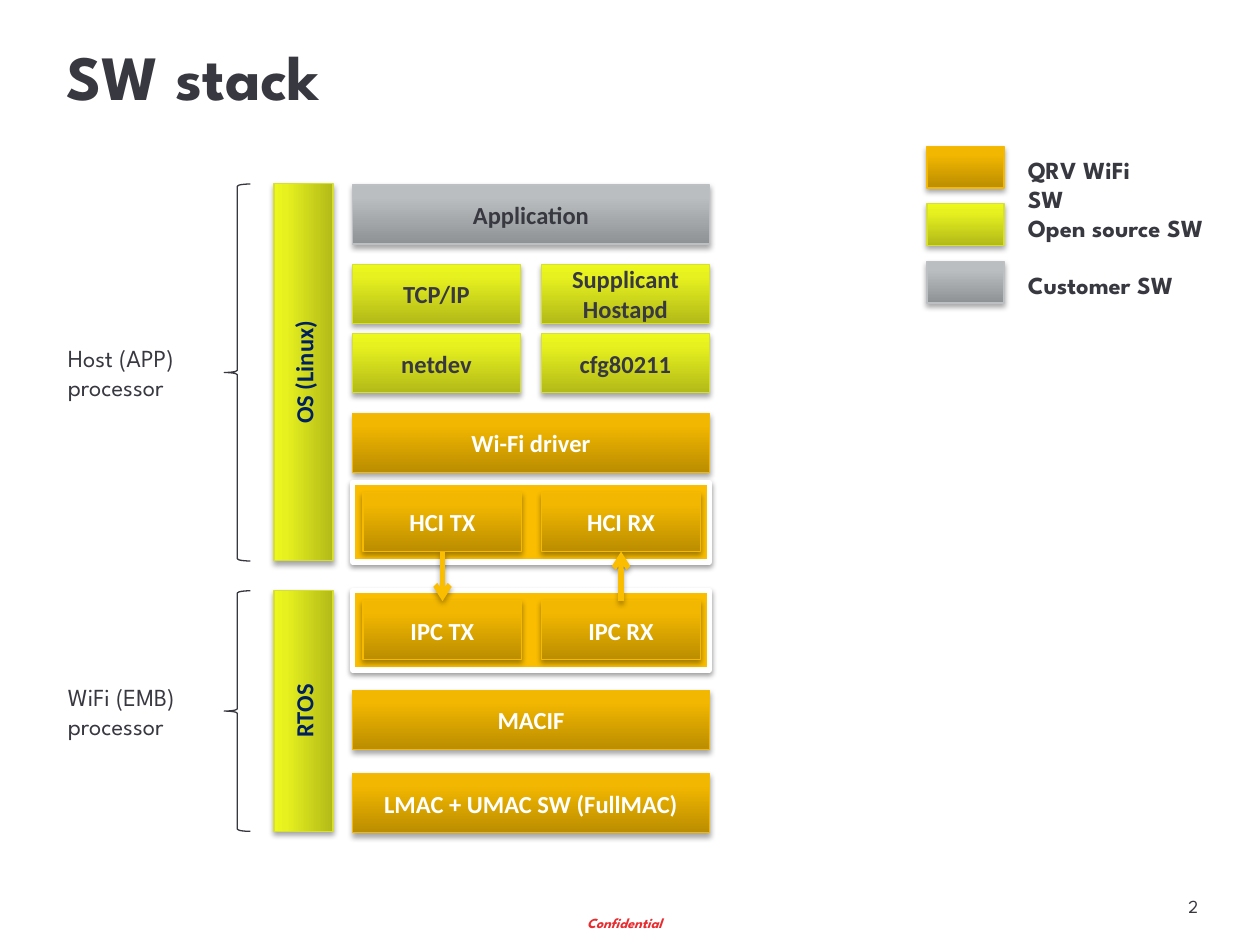
from dataclasses import dataclass

from lxml import etree
from pptx import Presentation
from pptx import util as u
from pptx.dml.color import RGBColor
from pptx.enum import shapes, text
from pptx.oxml import ns


@dataclass(frozen=True)
class Theme:
    """Colours, fonts and type sizes of the slide."""
    head: str = "League Spartan"
    body: str = "Calibri"
    ink: str = "383841"
    navy: str = "002060"
    white: str = "FFFFFF"
    red: str = "E72D30"
    amber: str = "FABD00"
    brace: str = "373740"
    gold: tuple = ("BB8D00", "F2B700", "F3B800", "F4B900")
    lime: tuple = ("B2BA18", "E7F11F", "ECF71B", "D7DF34")
    grey: tuple = ("8F9294", "BABEC1", "BBBFC2", "BDC0C2")
    title: float = 36
    label: float = 14
    number: float = 10.5
    footer: float = 8


class Deck:
    """Holds the theme and the current slide, and draws its elements."""

    def __init__(self, prs, theme):
        self.t = theme
        self.s = prs.slides.add_slide(prs.slide_layouts[5])

    def sub(self, parent, tag, **attrs):
        """Append a DrawingML child element."""
        return etree.SubElement(parent, ns.qn("a:" + tag), {k: str(v) for k, v in attrs.items()})

    def shadow(self, sp, alpha=35, dist=23000):
        """Cast a soft shadow downwards."""
        effects = self.sub(sp._element.spPr, "effectLst")
        outer = self.sub(effects, "outerShdw", blurRad=40000, dist=dist, dir=5400000, rotWithShape=0)
        self.sub(self.sub(outer, "srgbClr", val="000000"), "alpha", val=alpha * 1000)

    def stroke(self, sp, color, width):
        """Set the line of a shape or connector."""
        sp.line.color.rgb = RGBColor.from_string(color)
        sp.line.width = u.Pt(width)

    def put(self, tf, words, size, color, font, bold=False, italic=False, align=text.PP_ALIGN.LEFT):
        """Fill a text frame, one paragraph for each line."""
        for i, line in enumerate(words.split("\n")):
            p = tf.add_paragraph() if i else tf.paragraphs[0]
            p.alignment = align
            r = p.add_run()
            r.text = line
            r.font.name, r.font.size = font, u.Pt(size)
            r.font.bold, r.font.italic = bold, italic
            r.font.color.rgb = RGBColor.from_string(color)

    def title(self, words, *box):
        """Place and format the title placeholder."""
        sp = self.s.shapes.title
        sp.left, sp.top, sp.width, sp.height = map(u.Cm, box)
        tf = sp.text_frame
        tf.auto_size = text.MSO_AUTO_SIZE.NONE
        tf.vertical_anchor = text.MSO_ANCHOR.MIDDLE
        self.put(tf, words, self.t.title, self.t.ink, self.t.head, bold=True)

    def text(self, words, *box, size=None, color=None, wrap=False, middle=False, **style):
        """Add a text box in the heading font."""
        tf = self.s.shapes.add_textbox(*map(u.Cm, box)).text_frame
        tf.word_wrap = wrap
        tf.vertical_anchor = text.MSO_ANCHOR.MIDDLE if middle else text.MSO_ANCHOR.TOP
        self.put(tf, words, size or self.t.label, color or self.t.ink, self.t.head, **style)

    def block(self, words, tone, color, left, top, width, height=1.19, rotation=0):
        """Add a shaded block with a centred label."""
        sp = self.s.shapes.add_shape(shapes.MSO_SHAPE.RECTANGLE, *map(u.Cm, (left, top, width, height)))
        sp.rotation = rotation
        sp.fill.gradient()
        sp.fill.gradient_angle = 90
        stops = sp._element.spPr.find(".//" + ns.qn("a:gsLst"))
        for stop in list(stops):
            stops.remove(stop)
        for pos, shade in zip((0, 80, 100), tone):
            self.sub(self.sub(stops, "gs", pos=pos * 1000), "srgbClr", val=shade)
        self.stroke(sp, tone[3], 0.75)
        self.shadow(sp)
        if words:
            sp.text_frame.vertical_anchor = text.MSO_ANCHOR.MIDDLE
            self.put(sp.text_frame, words, self.t.label, color, self.t.body,
                     bold=True, align=text.PP_ALIGN.CENTER)

    def frame(self, left, top, width, height):
        """Add a flat panel with a white border."""
        sp = self.s.shapes.add_shape(shapes.MSO_SHAPE.RECTANGLE, *map(u.Cm, (left, top, width, height)))
        sp.fill.solid()
        sp.fill.fore_color.rgb = RGBColor.from_string(self.t.amber)
        self.stroke(sp, self.t.white, 3)
        self.shadow(sp, 38, 20000)

    def brace(self, left, top, width, height):
        """Add an opening brace."""
        sp = self.s.shapes.add_shape(shapes.MSO_SHAPE.LEFT_BRACE, *map(u.Cm, (left, top, width, height)))
        sp.shadow.inherit = False
        sp.fill.background()
        self.stroke(sp, self.t.brace, 0.75)

    def processor(self, words, system, top, length):
        """Add a label, its brace and an upright system bar."""
        mid = top + length / 2
        self.block(system, self.t.lime, self.t.navy, 6.12 - length / 2, mid - 0.6, length, rotation=270)
        self.brace(4.52, top, 0.53, length)
        self.text(words, 1.12, mid - 0.75, 2.97, 1.5, middle=True)

    def arrow(self, x, start, end):
        """Add a vertical arrow."""
        c = self.s.shapes.add_connector(shapes.MSO_CONNECTOR.STRAIGHT, *map(u.Cm, (x, start, x, end)))
        self.stroke(c, self.t.amber, 3)
        self.sub(c._element.spPr.find(ns.qn("a:ln")), "tailEnd", type="arrow")
        self.shadow(c)


def main():
    """Build the software stack slide."""
    prs = Presentation()
    prs.slide_width, prs.slide_height = u.Cm(25.4), u.Cm(19.05)
    t = Theme()
    d = Deck(prs, t)
    d.title("SW stack", 1.09, 0.53, 23.22, 1.98)
    d.text("Confidential", 11.58, 18.31, 2.18, 0.61, size=t.footer, color=t.red, bold=True, italic=True)
    d.text("2", 23.57, 17.93, 0.97, 0.74, size=t.number, align=text.PP_ALIGN.CENTER)

    legend = (("QRV WiFi SW", t.gold, 3.1), ("Open source SW", t.lime, 4.5), ("Customer SW", t.grey, 4.5))
    for i, (words, tone, width) in enumerate(legend):
        top = 2.95 + 1.16 * i
        d.block("", tone, t.ink, 18.69, top, 1.55, 0.84)
        d.text(words, 20.47, top + 0.05, width, 0.86, wrap=True, bold=True)

    d.processor("Host (APP)\nprocessor", "OS (Linux)", 3.71, 7.6)
    d.processor("WiFi (EMB)\nprocessor", "RTOS", 11.91, 4.85)

    left, right, full = 7.11, 10.92, 7.19
    for words, tone, color, top in (
        ("Application", t.grey, t.ink, 3.73),
        ("Wi-Fi driver", t.gold, t.white, 8.33),
        ("MACIF", t.gold, t.white, 13.92),
        ("LMAC + UMAC SW (FullMAC)", t.gold, t.white, 15.6),
    ):
        d.block(words, tone, color, left, top, full)
    for top, pair in ((5.33, ("TCP/IP", "Supplicant\nHostapd")), (6.73, ("netdev", "cfg80211"))):
        for x, words in zip((left, right), pair):
            d.block(words, t.lime, t.ink, x, top, 3.38)
    for name, top in (("HCI", 9.73), ("IPC", 11.91)):
        d.frame(left, top, full, 1.6)
        for x, way in ((7.32, "TX"), (right, "RX")):
            d.block(f"{name} {way}", t.gold, t.white, x, top + 0.2, 3.2)
    d.arrow(8.92, 11.12, 12.12)
    d.arrow(12.52, 12.12, 11.12)
    prs.save("out.pptx")


if __name__ == "__main__":
    main()
